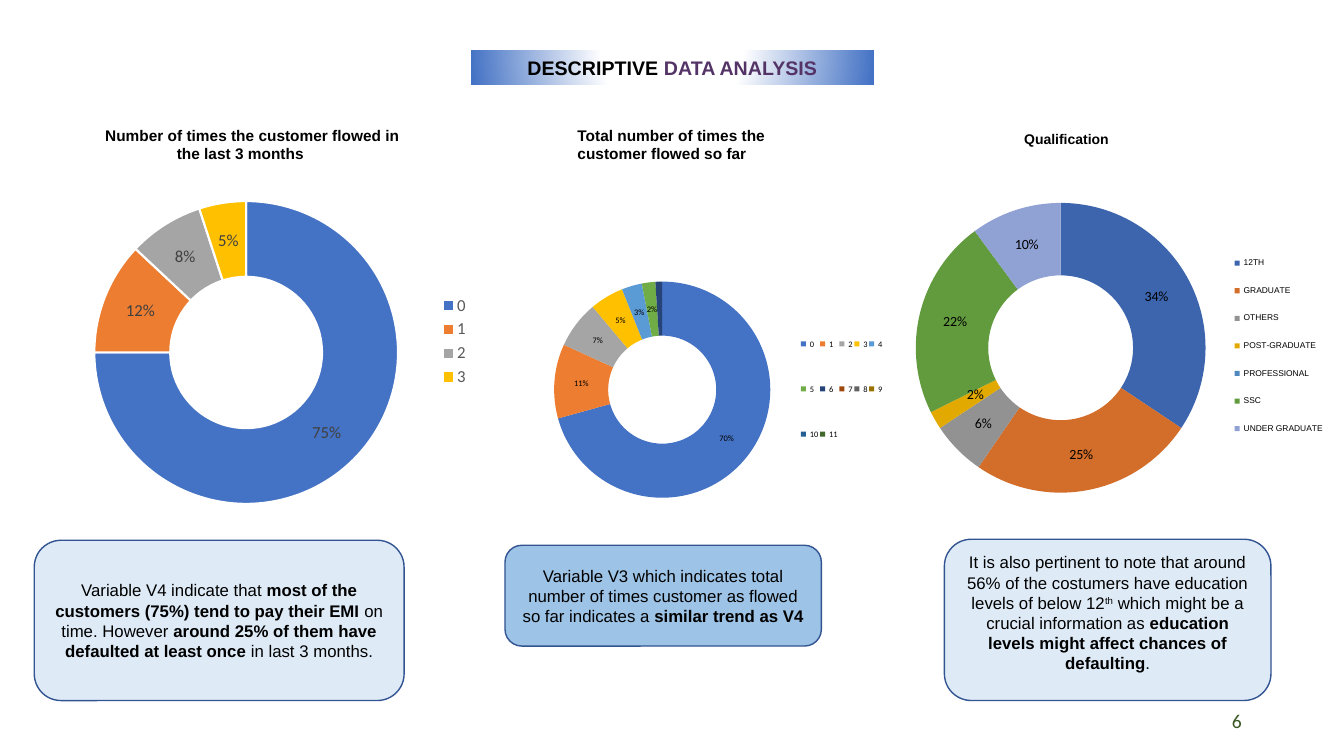
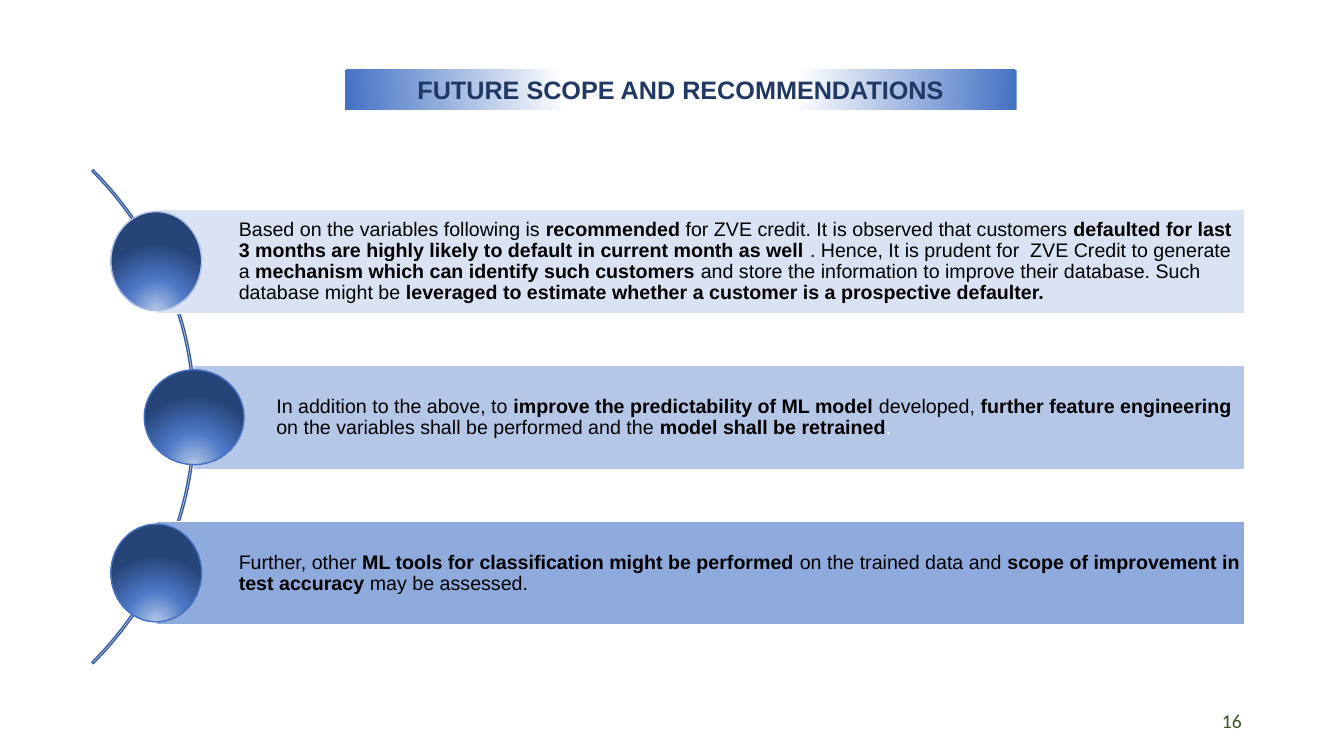
from pptx import Presentation
from pptx.chart.data import CategoryChartData
from pptx.dml.color import RGBColor
from pptx.enum.chart import XL_CHART_TYPE, XL_LEGEND_POSITION
from pptx.enum.shapes import MSO_SHAPE
from pptx.enum.text import MSO_ANCHOR, MSO_AUTO_SIZE, PP_ALIGN
from pptx.oxml import parse_xml
from pptx.oxml.ns import nsdecls, qn
from pptx.util import Pt

# Colours
BLACK = RGBColor(0x00, 0x00, 0x00)
WHITE = RGBColor(0xFF, 0xFF, 0xFF)
PURPLE = RGBColor(0x54, 0x34, 0x66)
NAVY = RGBColor(0x20, 0x38, 0x64)
GREEN = RGBColor(0x38, 0x57, 0x23)
BLUE = RGBColor(0x44, 0x72, 0xC4)
CARD_LINE = RGBColor(0x32, 0x54, 0x91)
ARC_LINE = RGBColor(0x36, 0x5B, 0x9D)
PALE_LINE = RGBColor(0xAB, 0xC0, 0xE4)
PALE = RGBColor(0xDE, 0xEB, 0xF7)
SKY = RGBColor(0x9D, 0xC3, 0xE6)
ROW_1 = RGBColor(0xDA, 0xE3, 0xF3)
ROW_2 = RGBColor(0xB4, 0xC7, 0xE7)
ROW_3 = RGBColor(0x8F, 0xAA, 0xDC)
LEGEND_GREY = RGBColor(0x59, 0x59, 0x59)
LABEL_GREY = RGBColor(0x40, 0x40, 0x40)
OFFICE = [RGBColor.from_string(c) for c in (
    "4472C4 ED7D31 A5A5A5 FFC000 5B9BD5 70AD47 "
    "264478 9E480E 636363 997300 255E91 43682B").split()]
DEEP = [RGBColor.from_string(c) for c in (
    "3C65AD D36E2A 929292 E2AA00 5088BE 629A3E 90A1D4").split()]

# Gradients: stops, then the centre as left, top, right, bottom in percent
BAND = ([(0, WHITE), (35, WHITE), (100, BLUE)], (50, -80, 50, 180))
BALL = ([(0, ROW_2), (46, RGBColor(0x4D, 0x79, 0xC7)),
         (100, RGBColor(0x26, 0x44, 0x78))], (50, 130, 50, -30))

# Text formats
TITLE = {"name": "Arial", "bold": True, "color": BLACK}
HEADING = {"name": "Arial", "size": Pt(11), "bold": True, "color": BLACK}
BODY = {"name": "Arial", "size": Pt(12), "bold": False, "color": BLACK}
ROW_TEXT = {**BODY, "size": Pt(14)}
NUMBER = {"name": "Calibri", "size": Pt(14), "color": GREEN}
BOLD = {"bold": True}
PERCENT = '0"%"'

# Slide 1 content
HEADINGS = [
    ((64.8, 86.4, 231, 30), "Number of times the customer flowed in the last 3 months \t",
     11, PP_ALIGN.CENTER, MSO_ANCHOR.TOP),
    ((405.4, 86.4, 169, 30), "Total number of times the customer flowed so far",
     11, PP_ALIGN.LEFT, MSO_ANCHOR.TOP),
    ((684, 86.4, 155.5, 25.2), "Qualification", 10, PP_ALIGN.CENTER, MSO_ANCHOR.MIDDLE),
]
CHARTS = [
    {"box": (28, 127.4, 314.6, 233.3), "plot": (0.04, 0.07, 0.86, 0.93), "legend": None,
     "cats": [str(n) for n in range(4)], "vals": [75, 12, 8, 5],
     "colours": OFFICE, "edge": True,
     "label_font": {"name": "Calibri", "size": Pt(12), "color": LABEL_GREY},
     "legend_font": {"name": "Calibri", "size": Pt(12), "color": LEGEND_GREY}},
    {"box": (358.6, 180, 275.8, 195.8), "plot": (0.135, 0.09, 0.56, 0.825),
     "legend": (0.77, 0.19, 0.22, 0.62),
     "cats": [str(n) for n in range(12)],
     "vals": [70, 11, 7, 5, 3, 2, 1, 0, 0, 0, 0, 0],
     "colours": OFFICE, "hidden": range(6, 12),
     "label_font": {"name": "Calibri", "size": Pt(6), "color": BLACK},
     "legend_font": {"name": "Calibri", "size": Pt(6), "color": BLACK}},
    {"box": (644.4, 92.9, 314.6, 267.1), "plot": (0.03, 0.195, 0.66, 0.775),
     "legend": (0.725, 0.295, 0.26, 0.565),
     "cats": ["12TH", "GRADUATE", "OTHERS", "POST-GRADUATE", "PROFESSIONAL", "SSC",
              "UNDER GRADUATE"],
     "vals": [34, 25, 6, 2, 0, 22, 10],
     "colours": DEEP, "moved": {3: (0.02, -0.02), 4: (-0.03, 0.02)},
     "label_font": {"name": "Calibri", "size": Pt(10), "color": BLACK},
     "legend_font": {"name": "Arial", "size": Pt(6), "color": BLACK}},
]
CARDS = [
    ((24.5, 385.9, 264.2, 114.5), PALE, MSO_ANCHOR.MIDDLE, [
        ("Variable V4 indicate that ", {}),
        ("most of the customers (75%) tend to pay their EMI", BOLD),
        (" on time. However ", {}),
        ("around 25% of them have defaulted at least once", BOLD),
        (" in last 3 months.", {})]),
    ((360.7, 389.5, 226, 72), SKY, MSO_ANCHOR.MIDDLE, [
        ("Variable V3 which indicates total number of times customer as flowed "
         "so far indicates a ", {}),
        ("similar trend as V4", BOLD)]),
    ((674.6, 385.2, 233.3, 115.2), PALE, MSO_ANCHOR.TOP, [
        ("It is also pertinent to note that around 56% of the costumers have "
         "education levels of below 12", {}),
        ("th", {"baseline": 30000}),
        (" which might be a crucial information as ", {}),
        ("education levels might affect chances of defaulting", BOLD),
        (".", {})]),
]

# Slide 2 content: row left, row fill, ball box, ball line, text
ROWS = [
    (111.6, ROW_1, (79.2, 151.2, 64.8, 70.6), PALE_LINE, [
        ("Based on the variables following is ", {}),
        ("recommended", BOLD),
        (" for ZVE credit. It is observed that customers ", {}),
        ("defaulted for last 3 months are highly likely to default in current "
         "month as well ", BOLD),
        (". Hence, It is prudent for  ZVE Credit to generate a ", {}),
        ("mechanism which can identify such customers ", BOLD),
        ("and store the information to improve their database. Such database "
         "might be ", {}),
        ("leveraged to estimate whether a customer is a prospective defaulter.", BOLD)]),
    (138.4, ROW_2, (103, 264.2, 71.3, 67.7), BLUE, [
        ("In addition to the above, to ", {}),
        ("improve the predictability of ML model ", BOLD),
        ("developed, ", {}),
        ("further feature engineering", BOLD),
        (" on the variables shall be performed and the ", {}),
        ("model shall be retrained", BOLD),
        (".", {"color": WHITE})]),
    (111.6, ROW_3, (79.2, 374.4, 64.8, 69.8), BLUE, [
        ("Further, other ", {}),
        ("ML tools for classification might be performed ", BOLD),
        ("on the trained data and ", {}),
        ("scope of improvement in test accuracy ", BOLD),
        ("may be assessed.", {})]),
]
ROW_TOP, ROW_PITCH, ROW_HEIGHT, ROW_RIGHT = 149.8, 111.3, 74.2, 889.2


def pts(box):
    return [Pt(v) for v in box]


def set_font(font, fmt):
    for key, value in fmt.items():
        if key == "color":
            font.color.rgb = value
        elif key == "baseline":
            font._element.set("baseline", str(value))
        else:
            setattr(font, key, value)


def write(sp, runs, base, align=PP_ALIGN.CENTER, anchor=MSO_ANCHOR.MIDDLE):
    tf = sp.text_frame
    tf.word_wrap = True
    tf.auto_size = MSO_AUTO_SIZE.NONE
    tf.vertical_anchor = anchor
    p = tf.paragraphs[0]
    p.alignment = align
    for text, fmt in runs:
        r = p.add_run()
        r.text = text
        set_font(r.font, {**base, **fmt})
    return tf


def add_text(s, box, text, fmt, align, anchor):
    write(s.shapes.add_textbox(*pts(box)), [(text, {})], fmt, align, anchor)


def set_gradient(sp, stops, centre):
    gs = "".join(f'<a:gs pos="{pos * 1000}"><a:srgbClr val="{c}"/></a:gs>' for pos, c in stops)
    edges = " ".join(f'{side}="{v * 1000}"' for side, v in zip("ltrb", centre))
    sp.fill.solid()
    spPr = sp._element.spPr
    spPr.replace(spPr.find(qn("a:solidFill")), parse_xml(
        f'<a:gradFill {nsdecls("a")} rotWithShape="1"><a:gsLst>{gs}</a:gsLst>'
        f'<a:path path="circle"><a:fillToRect {edges}/></a:path></a:gradFill>'))


def add_shape(s, kind, box, line, fill=None, gradient=None):
    sp = s.shapes.add_shape(kind, *pts(box))
    sp.shadow.inherit = False
    sp.line.color.rgb = line
    sp.line.width = Pt(1)
    if gradient:
        set_gradient(sp, *gradient)
    elif fill is not None:
        sp.fill.solid()
        sp.fill.fore_color.rgb = fill
    else:
        sp.fill.background()
    return sp


def add_slide(prs, box, title_runs, size, number):
    s = prs.slides.add_slide(prs.slide_layouts[5])
    title = s.shapes.title
    title.left, title.top, title.width, title.height = pts(box)
    set_gradient(title, *BAND)
    write(title, title_runs, {**TITLE, "size": Pt(size)})
    add_text(s, (678.2, 500.4, 216, 28.8), number, NUMBER, PP_ALIGN.RIGHT, MSO_ANCHOR.MIDDLE)
    return s


def place_part(element, index, box, target=""):
    for old in element.findall(qn("c:layout")):
        element.remove(old)
    modes = '<c:xMode val="edge"/><c:yMode val="edge"/>'
    sizes = "".join(f'<c:{k} val="{v}"/>' for k, v in zip("xywh", box))
    element.insert(index, parse_xml(
        f'<c:layout {nsdecls("c")}><c:manualLayout>{target}{modes}{sizes}'
        '</c:manualLayout></c:layout>'))


def point_label(index, shift=None):
    if shift is None:
        body = '<c:delete val="1"/>'
    else:
        flags = "".join(f'<c:show{k} val="{int(k == "Val")}"/>' for k in (
            "LegendKey", "Val", "CatName", "SerName", "Percent", "BubbleSize"))
        body = (f'<c:layout><c:manualLayout><c:x val="{shift[0]}"/><c:y val="{shift[1]}"/>'
                "</c:manualLayout></c:layout>"
                f"<c:numFmt formatCode='{PERCENT}' sourceLinked='0'/>{flags}")
    return parse_xml(f'<c:dLbl {nsdecls("c")}><c:idx val="{index}"/>{body}</c:dLbl>')


def add_doughnut(s, item):
    data = CategoryChartData()
    data.categories = item["cats"]
    data.add_series("Series 1", item["vals"])
    chart = s.shapes.add_chart(XL_CHART_TYPE.DOUGHNUT, *pts(item["box"]), data).chart
    chart.has_title = False
    set_font(chart.font, item["label_font"])
    chart.has_legend = True
    chart.legend.position = XL_LEGEND_POSITION.RIGHT
    chart.legend.include_in_layout = False
    set_font(chart.legend.font, item["legend_font"])

    # Slices
    series = chart.plots[0].series[0]
    for i, colour in enumerate(item["colours"][:len(item["vals"])]):
        fmt = series.points[i].format
        fmt.fill.solid()
        fmt.fill.fore_color.rgb = colour
        if item.get("edge"):
            fmt.line.color.rgb = WHITE
            fmt.line.width = Pt(1.5)
        else:
            fmt.line.fill.background()

    # Labels
    labels = series.data_labels
    labels.show_value = True
    labels.number_format = PERCENT
    labels.number_format_is_linked = False
    set_font(labels.font, item["label_font"])
    special = {**dict.fromkeys(item.get("hidden", ())), **item.get("moved", {})}
    for i in sorted(special, reverse=True):
        labels._element.insert(0, point_label(i, special[i]))

    # Plot and legend places
    plot_area = chart._chartSpace.find(".//" + qn("c:plotArea"))
    place_part(plot_area, 0, item["plot"], '<c:layoutTarget val="inner"/>')
    if item["legend"]:
        place_part(chart.legend._element, 1, item["legend"])


def build_analysis(prs):
    s = add_slide(prs, (336.2, 36, 288, 24.5),
                  [("DESCRIPTIVE ", {}), ("DATA ANALYSIS", {"color": PURPLE})], 14, "6")
    for item in CHARTS:
        add_doughnut(s, item)
    for box, text, size, align, anchor in HEADINGS:
        add_text(s, box, text, {**HEADING, "size": Pt(size)}, align, anchor)
    for box, fill, anchor, runs in CARDS:
        card = add_shape(s, MSO_SHAPE.ROUNDED_RECTANGLE, box, CARD_LINE, fill)
        write(card, runs, BODY, anchor=anchor)


def build_future(prs):
    s = add_slide(prs, (246.2, 49.7, 480, 28.8),
                  [("FUTURE SCOPE AND RECOMMENDATIONS", {"color": NAVY})], 18, "16")
    arc = add_shape(s, MSO_SHAPE.BLOCK_ARC, (-359.3, 48.2, 499, 499), ARC_LINE)
    for i, value in enumerate((189, 27, 0.003)):
        arc.adjustments[i] = value
    for i, (left, fill, ball, ball_line, runs) in enumerate(ROWS):
        box = (left, ROW_TOP + i * ROW_PITCH, ROW_RIGHT - left, ROW_HEIGHT)
        row = add_shape(s, MSO_SHAPE.RECTANGLE, box, WHITE, fill)
        tf = write(row, runs, ROW_TEXT, PP_ALIGN.LEFT)
        tf.paragraphs[0].line_spacing = 0.9
        tf.margin_left, tf.margin_top, tf.margin_right, tf.margin_bottom = pts((59, 3, 2.9, 3))
        add_shape(s, MSO_SHAPE.OVAL, ball, ball_line, gradient=BALL)


def main():
    prs = Presentation()
    prs.slide_width, prs.slide_height = Pt(960), Pt(540)
    build_analysis(prs)
    build_future(prs)
    prs.save("out.pptx")


if __name__ == "__main__":
    main()
